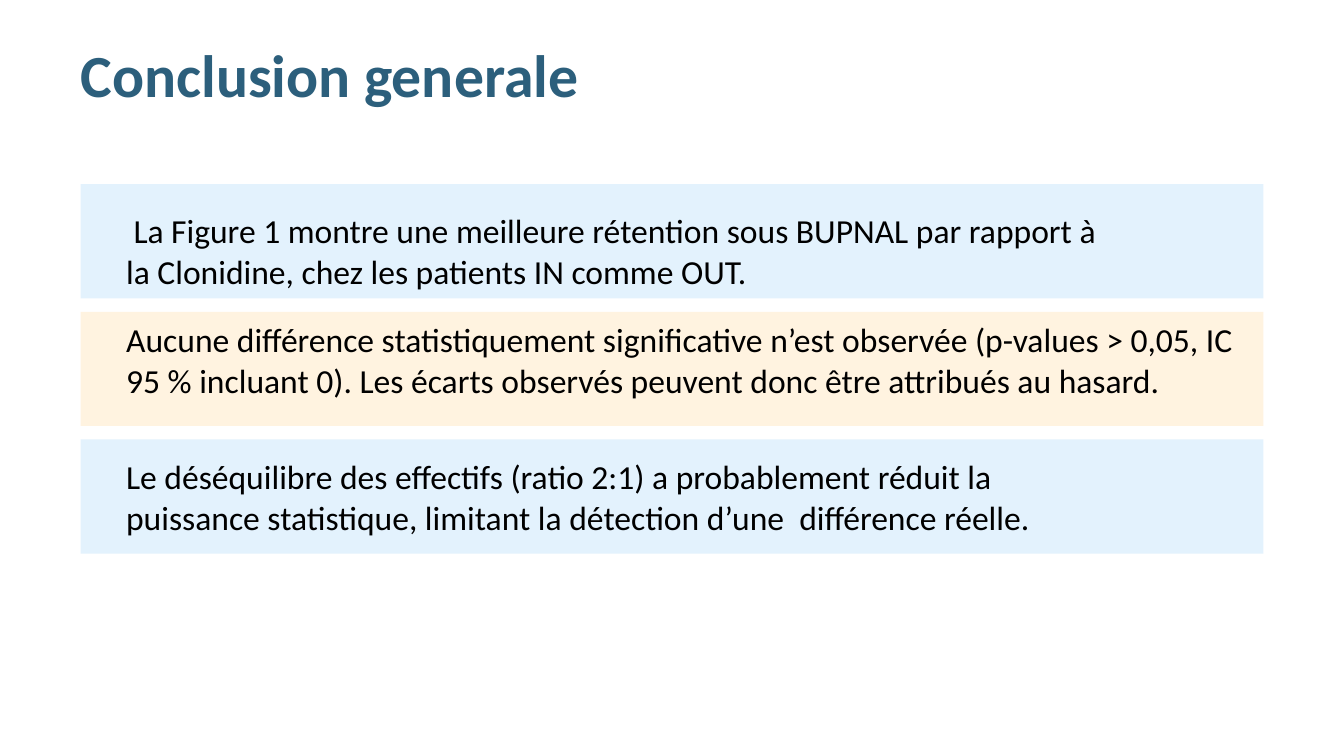
from dataclasses import dataclass

from pptx import Presentation
from pptx.dml.color import RGBColor
from pptx.enum.shapes import MSO_SHAPE
from pptx.enum.text import MSO_ANCHOR, MSO_AUTO_SIZE, PP_ALIGN
from pptx.util import Pt

RECTANGLE = MSO_SHAPE.RECTANGLE
MIDDLE = MSO_ANCHOR.MIDDLE
LEFT = PP_ALIGN.LEFT
NO_FIT = MSO_AUTO_SIZE.NONE
GROW = MSO_AUTO_SIZE.SHAPE_TO_FIT_TEXT
PX = 4572  # EMU per px, 200 px to the inch


@dataclass(frozen=True)
class Theme:
    font: str = "Calibri"
    title_size: int = 32
    body_size: int = 18
    title: str = "2C5F7C"
    body: str = "000000"
    blue: str = "E3F2FD"
    orange: str = "FFF3E0"


THEME = Theme()
TITLE_FORMAT = {"name": THEME.font, "size": Pt(THEME.title_size), "bold": True}
BODY_FORMAT = {"name": THEME.font, "size": Pt(THEME.body_size), "bold": False}


def box(*lengths):
    """Turn px lengths into EMU."""
    return [length * PX for length in lengths]


def write(paragraph, text, font_format, color):
    run = paragraph.add_run()
    run.text = text
    for name, value in font_format.items():
        setattr(run.font, name, value)
    run.font.color.rgb = RGBColor.from_string(color)


presentation = Presentation()
presentation.slide_width, presentation.slide_height = box(2000, 1125)
slide = presentation.slides.add_slide(presentation.slide_layouts[5])

title = slide.shapes.title
title.left, title.top, title.width, title.height = box(100, 60, 1800, 100)
title.text_frame.auto_size = NO_FIT
title.text_frame.vertical_anchor = MIDDLE
heading = title.text_frame.paragraphs[0]
heading.alignment = LEFT
write(heading, "Conclusion generale", TITLE_FORMAT, THEME.title)

BAND_TOP, BAND_HEIGHT, BAND_STEP = 274, 170, 190
for row, color in enumerate([THEME.blue, THEME.orange, THEME.blue]):
    band = slide.shapes.add_shape(
        RECTANGLE, *box(120, BAND_TOP + row * BAND_STEP, 1760, BAND_HEIGHT))
    band.shadow.inherit = False
    band.fill.solid()
    band.fill.fore_color.rgb = RGBColor.from_string(color)
    band.line.fill.background()

# top, width, first-line indent, text
findings = [
    (303, 1488, 11, "La Figure 1 montre une meilleure rétention sous BUPNAL par "
                    "rapport à la Clonidine, chez les patients IN comme OUT."),
    (465, 1736, 0, "Aucune différence statistiquement significative n’est observée "
                   "(p-values > 0,05, IC 95 % incluant 0). Les écarts observés "
                   "peuvent donc être attribués au hasard."),
    (669, 1480, 0, "Le déséquilibre des effectifs (ratio 2:1) a probablement réduit "
                   "la puissance statistique, limitant la détection d’une  "
                   "différence réelle."),
]
for top, width, indent, text in findings:
    text_box = slide.shapes.add_textbox(*box(168, top, width, 142))
    text_box.text_frame.word_wrap = True
    text_box.text_frame.auto_size = GROW
    paragraph = text_box.text_frame.paragraphs[0]
    if indent:
        paragraph._p.get_or_add_pPr().set("indent", str(indent * PX))
    write(paragraph, text, BODY_FORMAT, THEME.body)

presentation.save("out.pptx")
